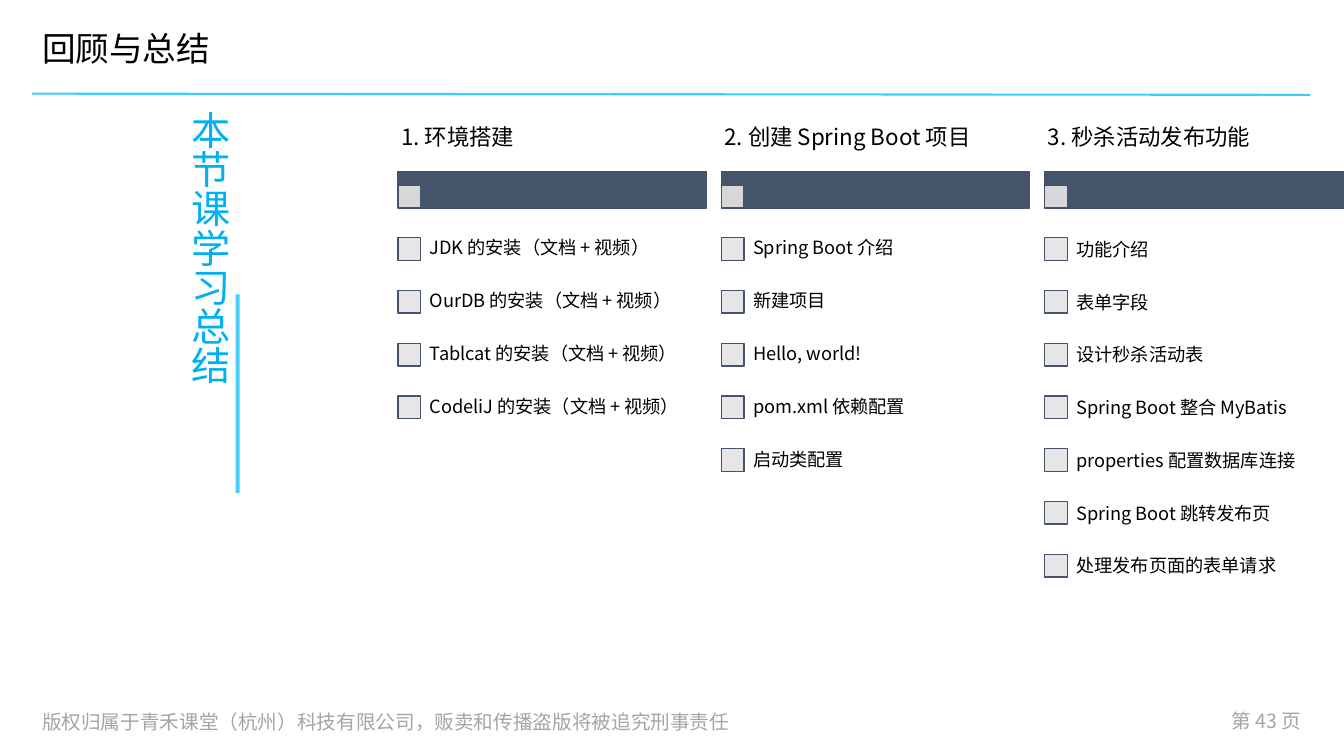
from lxml import etree
from pptx import Presentation
from pptx.dml.color import RGBColor
from pptx.enum.shapes import MSO_CONNECTOR, MSO_SHAPE
from pptx.enum.text import MSO_ANCHOR, MSO_AUTO_SIZE, PP_ALIGN
from pptx.oxml.ns import qn
from pptx.util import Cm, Pt

RECT = MSO_SHAPE.RECTANGLE
STRAIGHT = MSO_CONNECTOR.STRAIGHT
TOP, MIDDLE = MSO_ANCHOR.TOP, MSO_ANCHOR.MIDDLE
LEFT, CENTER, RIGHT = PP_ALIGN.LEFT, PP_ALIGN.CENTER, PP_ALIGN.RIGHT
NO_FIT = MSO_AUTO_SIZE.NONE

FONT = "Noto Sans CJK SC"
NAVY, PALE, GRAY, BLACK = "44546A", "E7E6E6", "A5A5A5", "000000"
COLUMN_LEFT, COLUMN_PITCH, COLUMN_WIDTH = 10.03, 8.15, 7.77
ROW_TOP, ROW_PITCH = 5.61, 1.33
CHECKBOX, LABEL_INDENT = 0.57, 0.55

TOPICS = [
    ("1. 环境搭建", 0.9, [
        "JDK 的安装（文档 + 视频）",
        "OurDB 的安装（文档 + 视频）",
        "Tablcat 的安装（文档 + 视频）",
        "CodeliJ 的安装（文档 + 视频）",
    ]),
    ("2. 创建 Spring Boot 项目", 0.9, [
        "Spring Boot 介绍",
        "新建项目",
        "Hello, world!",
        "pom.xml 依赖配置",
        "启动类配置",
    ]),
    ("3. 秒杀活动发布功能", 1.0, [
        "功能介绍",
        "表单字段",
        "设计秒杀活动表",
        "Spring Boot 整合 MyBatis",
        "properties 配置数据库连接",
        "Spring Boot 跳转发布页",
        "处理发布页面的表单请求",
    ]),
]


def color(value):
    return RGBColor.from_string(value)


def write(shape, text, size, ink, align=LEFT, spacing=1.0, anchor=MIDDLE, inset=(0.25, 0.13)):
    frame = shape.text_frame
    frame.text = text
    frame.word_wrap = True
    frame.auto_size = NO_FIT
    frame.vertical_anchor = anchor
    frame.margin_left = frame.margin_right = Cm(inset[0])
    frame.margin_top = frame.margin_bottom = Cm(inset[1])
    paragraph = frame.paragraphs[0]
    paragraph.alignment = align
    paragraph.line_spacing = spacing
    font = paragraph.font
    font.name, font.size = FONT, Pt(size)
    font.color.rgb = color(ink)
    defaults = paragraph._p.pPr.find(qn("a:defRPr"))
    etree.SubElement(defaults, qn("a:ea")).set("typeface", FONT)
    return paragraph


def add_label(shapes, box, text, size, ink, **style):
    write(shapes.add_textbox(*map(Cm, box)), text, size, ink, **style)


def add_rect(shapes, box, fill, outline=None, opacity=100):
    rect = shapes.add_shape(RECT, *map(Cm, box))
    rect.shadow.inherit = False
    rect.fill.solid()
    rect.fill.fore_color.rgb = color(fill)
    if outline:
        rect.line.color.rgb = color(outline)
        rect.line.width = Pt(1)
    else:
        rect.line.fill.background()
    if opacity < 100:
        tint = rect._element.spPr.find(qn("a:solidFill"))[0]
        etree.SubElement(tint, qn("a:alpha")).set("val", str(opacity * 1000))


def add_rule(shapes, start, end, ink):
    rule = shapes.add_connector(STRAIGHT, *map(Cm, start + end))
    rule.line.color.rgb = color(ink)
    rule.line.width = Pt(1.5)
    etree.SubElement(rule._element.spPr, qn("a:effectLst"))


def place(placeholder, box):
    placeholder.left, placeholder.top, placeholder.width, placeholder.height = map(Cm, box)


def add_titles(slide):
    summary = slide.shapes.title
    place(summary, (0.81, 2.67, 8.81, 14.48))
    write(summary, "本节课学习总结", 28, "00B0F0", align=CENTER, spacing=0.9)
    summary.text_frame._txBody.bodyPr.set("vert", "eaVert")

    heading = slide.placeholders[1]
    place(heading, (0.81, 0.38, 32.21, 1.8))
    paragraph = write(heading, "回顾与总结", 24, BLACK, spacing=0.9)
    paragraph.space_before = Pt(10)
    properties = paragraph._p.pPr
    properties.set("marL", "0")
    properties.set("indent", "0")
    properties.find(qn("a:defRPr")).addprevious(etree.Element(qn("a:buNone")))


def add_topic(slide, left, heading, spacing, items):
    shapes = slide.shapes.add_group_shape().shapes
    add_rect(shapes, (left, 4.32, COLUMN_WIDTH, 0.92), NAVY, NAVY)
    add_rect(shapes, (left, 4.66, CHECKBOX, CHECKBOX), PALE, NAVY, opacity=90)
    add_label(shapes, (left, 2.67, COLUMN_WIDTH, 1.65), heading, 16, BLACK,
              spacing=0.9, inset=(0.08, 0.05))
    for row, item in enumerate(items):
        top = ROW_TOP + row * ROW_PITCH
        checkbox_top = top + (ROW_PITCH - CHECKBOX) / 2
        add_rect(shapes, (left, checkbox_top, CHECKBOX, CHECKBOX), PALE, NAVY)
        add_label(shapes, (left + LABEL_INDENT, top, COLUMN_WIDTH - LABEL_INDENT, ROW_PITCH),
                  item, 13, BLACK, spacing=spacing, inset=(0.25, 0.25))


def main():
    deck = Presentation()
    deck.slide_width, deck.slide_height = Cm(33.87), Cm(19.05)
    slide = deck.slides.add_slide(deck.slide_layouts[1])
    shapes = slide.shapes
    add_rule(shapes, (33.02, 2.39), (0.81, 2.36), "3ACDFF")
    add_label(shapes, (0.81, 17.73, 19.71, 0.89),
              "版权归属于青禾课堂（杭州）科技有限公司，贩卖和传播盗版将被追究刑事责任",
              14, GRAY, inset=(0.25, 0.25))
    add_label(shapes, (30, 17.73, 3.05, 0.89), "第 43 页", 14, GRAY, align=RIGHT, anchor=TOP)
    add_rect(shapes, (5.94, 7.42, 0.1, 5), "47CFFF")
    add_titles(slide)
    for column, topic in enumerate(TOPICS):
        add_topic(slide, COLUMN_LEFT + column * COLUMN_PITCH, *topic)
    deck.save("out.pptx")


if __name__ == "__main__":
    main()
